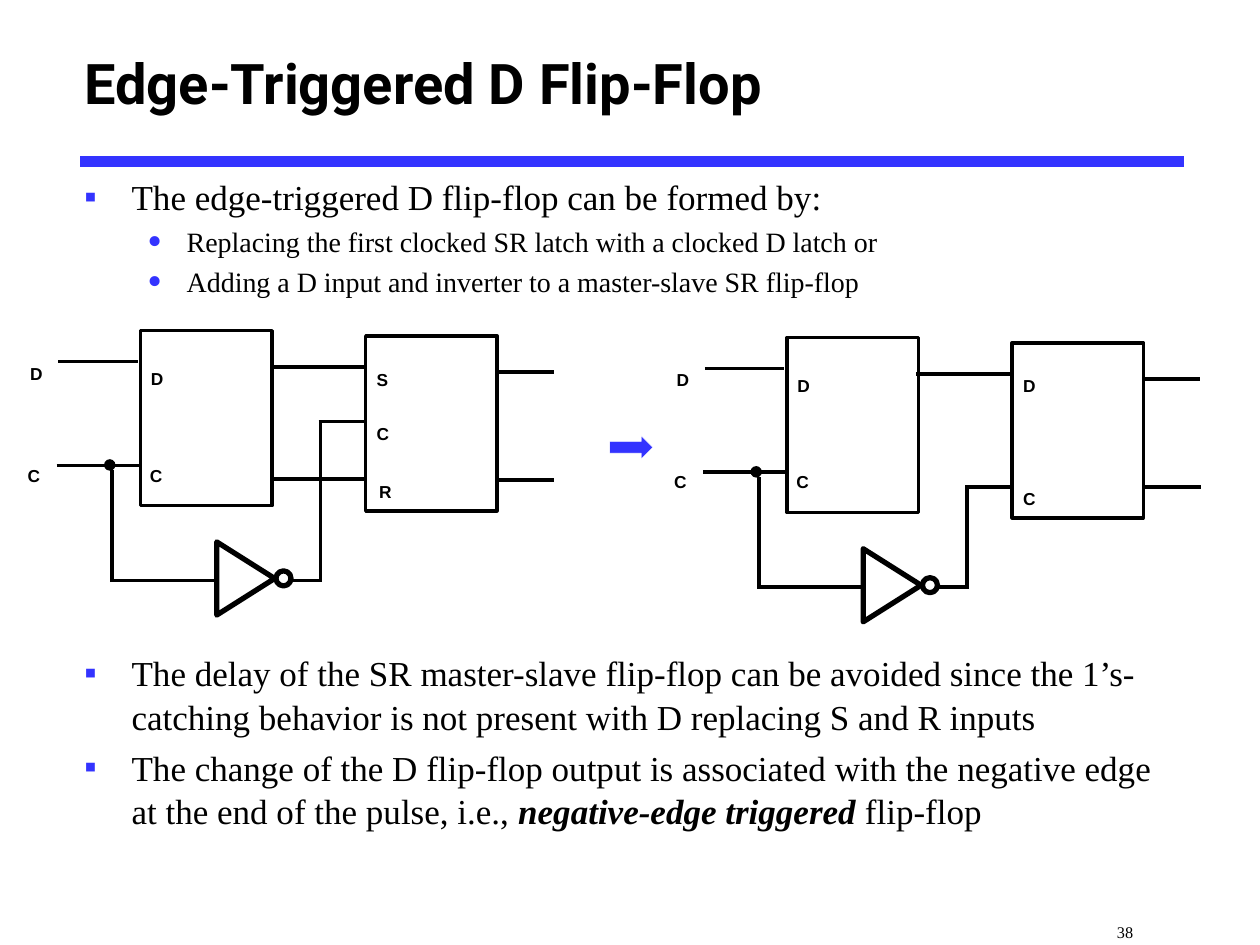
from dataclasses import dataclass

from lxml import etree
from pptx import Presentation
from pptx.dml.color import RGBColor
from pptx.enum import shapes, text
from pptx.oxml.ns import qn
from pptx.util import Pt

BLACK, BLUE, WHITE = "000000", "3333FF", "FFFFFF"
SERIF, SANS, HEAD = "Times New Roman", "Arial", "Roboto"
SHAPE = shapes.MSO_SHAPE


@dataclass(frozen=True)
class Wire:
    x1: float
    y1: float
    x2: float
    y2: float
    width: float = 2


@dataclass(frozen=True)
class Label:
    text: str
    x: float
    y: float


@dataclass(frozen=True)
class Circuit:
    dx: float
    dy: float
    wires: tuple[Wire, ...]
    labels: tuple[Label, ...]


@dataclass(frozen=True)
class Item:
    runs: tuple[tuple[str, bool], ...]  # text, emphasised
    level: int = 0
    before: float = 4


def rgb(value: str) -> RGBColor:
    return RGBColor.from_string(value)


def set_font(font, color: str = BLACK, **values) -> None:
    for name, value in values.items():
        setattr(font, name, value)
    font.color.rgb = rgb(color)


def add_wire(sp_tree, w: Wire, dx: float = 0, dy: float = 0, color: str = BLACK) -> None:
    c = sp_tree.add_connector(shapes.MSO_CONNECTOR.STRAIGHT, Pt(w.x1 + dx), Pt(w.y1 + dy),
                              Pt(w.x2 + dx), Pt(w.y2 + dy))
    c.line.color.rgb = rgb(color)
    c.line.width = Pt(w.width)
    etree.SubElement(c._element.spPr, qn("a:effectLst"))


def add_shape(sp_tree, kind, x: float, y: float, w: float, h: float,
              line: float, fill: str | None = None, color: str = BLACK):
    sp = sp_tree.add_shape(kind, Pt(x), Pt(y), Pt(w), Pt(h))
    sp.shadow.inherit = False
    if fill:
        sp.fill.solid()
        sp.fill.fore_color.rgb = rgb(fill)
    else:
        sp.fill.background()
    sp.line.color.rgb = rgb(color)
    sp.line.width = Pt(line)
    return sp


def add_subscript(sp_tree, content: str, x: float, y: float, w: float, h: float,
                  size: float, font: str, bold: bool):
    """Add a text box whose text sits below the baseline."""
    tf = sp_tree.add_textbox(Pt(x), Pt(y), Pt(w), Pt(h)).text_frame
    r = tf.paragraphs[0].add_run()
    r.text = content
    set_font(r.font, size=Pt(size), name=font, bold=bold)
    r._r.get_or_add_rPr().set("baseline", "-25000")
    return tf


def add_label(sp_tree, label: Label, dx: float, dy: float) -> None:
    tf = add_subscript(sp_tree, label.text, label.x + dx, label.y + dy, 12.3, 20, 17, SANS, True)
    tf.word_wrap = False
    for side in ("left", "top", "right", "bottom"):
        setattr(tf, f"margin_{side}", 0)


def add_circuit(slide, c: Circuit) -> None:
    tree = slide.shapes.add_group_shape().shapes
    for x, y in ((80.4, 189), (209, 192)):
        add_shape(tree, SHAPE.RECTANGLE, x + c.dx, y + c.dy, 75, 100, 2)
    for wire in SHARED_WIRES + c.wires:
        add_wire(tree, wire, c.dx, c.dy)
    inverter = add_shape(tree, SHAPE.ISOSCELES_TRIANGLE, 119.5 + c.dx, 314 + c.dy, 41.8, 33.1, 3)
    inverter.rotation = 90
    add_shape(tree, SHAPE.OVAL, 157.7 + c.dx, 326.2 + c.dy, 8.6, 8.6, 3)
    add_shape(tree, SHAPE.OVAL, 59.8 + c.dx, 262.8 + c.dy, 5.8, 5.8, 0.75, BLACK)
    for label in SHARED_LABELS + c.labels:
        add_label(tree, label, c.dx, c.dy)


def feedback(y: float) -> tuple[Wire, ...]:
    """Wires from the inverter output up to the slave clock at height y."""
    return Wire(183.1, 332.5, 183.1, y), Wire(182.1, y, 209, y)


def place(ph, x: float, y: float, w: float, h: float):
    ph.left, ph.top, ph.width, ph.height = Pt(x), Pt(y), Pt(w), Pt(h)
    ph.text_frame.auto_size = text.MSO_AUTO_SIZE.NONE
    return ph.text_frame


def add_bullet(p, level: int) -> None:
    margin, indent, char, percent = ((27, -27, "▪", 100), (58.5, -22.5, "•", 150))[level]
    pPr = p._p.get_or_add_pPr()
    pPr.set("marL", str(Pt(margin)))
    pPr.set("indent", str(Pt(indent)))
    color = etree.SubElement(pPr, qn("a:buClr"))
    etree.SubElement(color, qn("a:srgbClr"), val=BLUE)
    etree.SubElement(pPr, qn("a:buSzPct"), val=str(percent * 1000))
    etree.SubElement(pPr, qn("a:buFont"), typeface=SERIF)
    etree.SubElement(pPr, qn("a:buChar"), char=char)


def fill_body(tf, items: tuple[Item, ...]) -> None:
    for i, item in enumerate(items):
        p = tf.paragraphs[0] if i == 0 else tf.add_paragraph()
        p.level = item.level
        add_bullet(p, item.level)
        p.line_spacing = 1.04
        p.space_before = Pt(item.before)
        for content, strong in item.runs:
            r = p.add_run()
            r.text = content
            set_font(r.font, size=Pt((20, 16)[item.level]), name=SERIF, bold=strong, italic=strong)


SHARED_WIRES = (
    Wire(33.4, 206.6, 78.6, 206.6),
    Wire(32.4, 265.9, 80.4, 265.9),
    Wire(154.3, 209.7, 209, 209.7),
    Wire(284, 212.7, 316.6, 212.7),
    Wire(285, 274.3, 316.8, 274.3, 2.25),
    Wire(64.1, 332.6, 64.1, 268.6, 2.25),
    Wire(63.4, 331.6, 124.4, 331.6),
    Wire(166.4, 331.6, 183.6, 331.6),
)
SHARED_LABELS = (Label("D", 17.3, 196), Label("C", 15.8, 254.2),
                 Label("D", 86.2, 199.3), Label("C", 85.7, 254.2))
CIRCUITS = (
    Circuit(0, 0, feedback(240.9) + (Wire(155.4, 273.6, 209, 273.6, 2.25),),
            (Label("S", 215.3, 199.4), Label("C", 215.3, 230.4), Label("R", 216.7, 263.5))),
    Circuit(369.4, 3.9, feedback(274.4), (Label("D", 215.3, 199.4), Label("C", 215.3, 264))),
)
ITEMS = (
    Item((("The edge-triggered D flip-flop can be formed by:", False),), before=0),
    Item((("Replacing the first clocked SR latch with a clocked D latch or", False),), 1, 3.2),
    Item((("Adding a D input and inverter to a master-slave SR flip-flop", False),), 1, 3.2),
    Item((("The delay of the SR master-slave flip-flop can be avoided since the 1’s-catching "
           "behavior is not present with D replacing S and R inputs", False),), before=201),
    Item((("The change of the D flip-flop output is associated with the negative edge "
           "at the end of the pulse, i.e., ", False),
          ("negative-edge triggered ", True), ("flip-flop", False))),
)


def main() -> None:
    prs = Presentation()
    prs.slide_width, prs.slide_height = Pt(720), Pt(540)
    slide = prs.slides.add_slide(prs.slide_layouts[1])
    add_wire(slide.shapes, Wire(46, 92.2, 676.8, 92.2, 6), color=BLUE)

    title, body = slide.placeholders
    fill_body(place(body, 41, 95.6, 639.4, 437), ITEMS)
    tf = place(title, 41, 6.5, 627.8, 80.6)
    tf.vertical_anchor = text.MSO_ANCHOR.MIDDLE
    tf.text = "Edge-Triggered D Flip-Flop"
    p = tf.paragraphs[0]
    p.alignment = text.PP_ALIGN.LEFT
    set_font(p.runs[0].font, size=Pt(32), name=HEAD, bold=True)

    number = add_subscript(slide.shapes, "38", 568.8, 512.6, 151.2, 27, 16, SERIF, False)
    number.word_wrap = True
    number.margin_left = Pt(69.5)

    for circuit in CIRCUITS:
        add_circuit(slide, circuit)
    add_shape(slide.shapes, SHAPE.RIGHT_ARROW, 348.5, 249.1, 24.5, 13, 0.13, BLUE, WHITE)
    prs.save("out.pptx")


if __name__ == "__main__":
    main()
